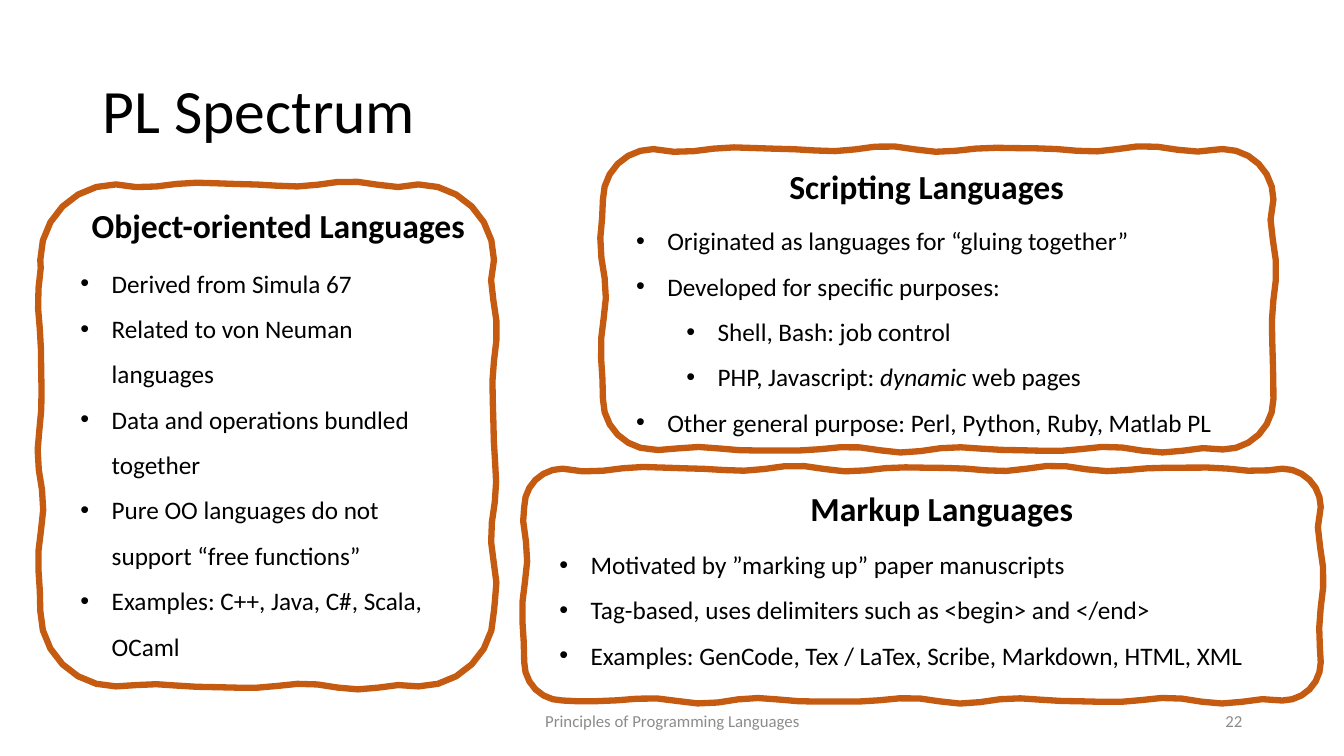
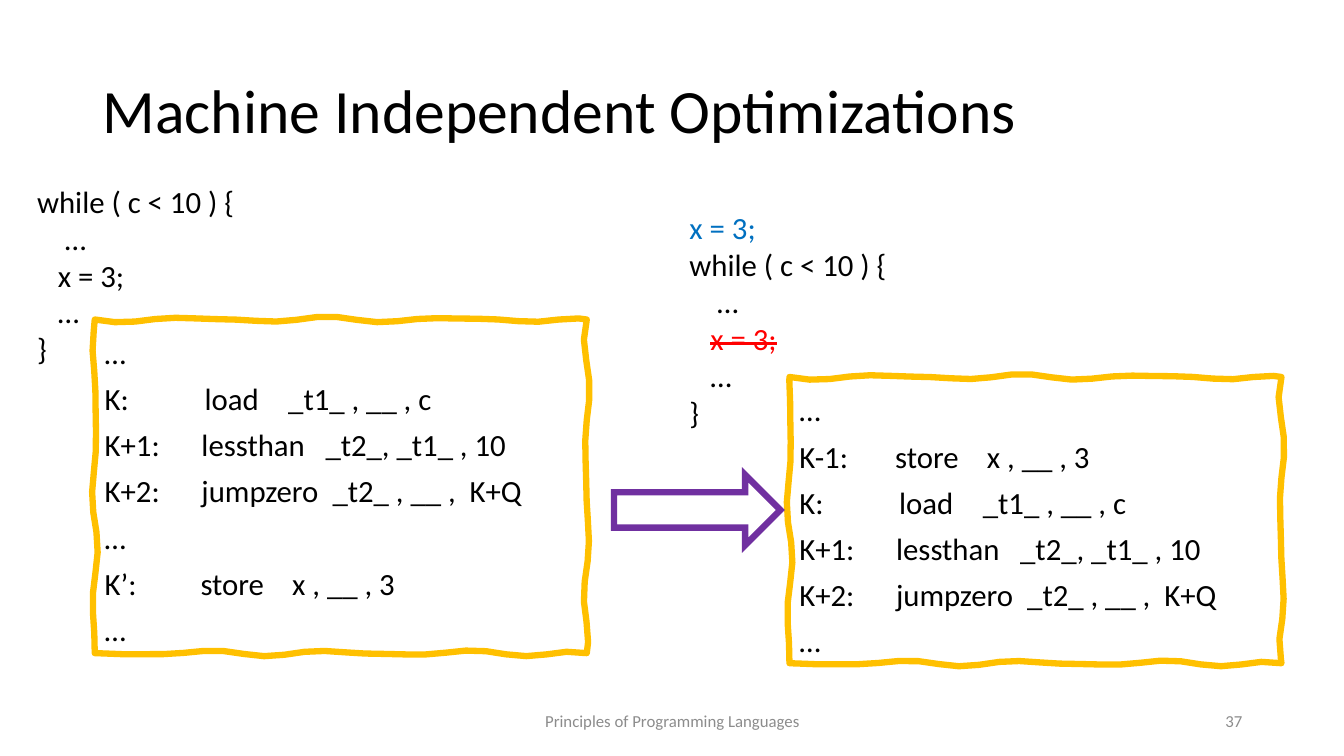
from dataclasses import dataclass
from math import cos, pi, radians, sin

from lxml.etree import SubElement
from pptx import Presentation
from pptx.dml.color import RGBColor
from pptx.enum.shapes import MSO_SHAPE
from pptx.enum.text import MSO_ANCHOR, PP_ALIGN
from pptx.oxml.ns import qn
from pptx.shapes.autoshape import Shape
from pptx.slide import Slide
from pptx.util import Emu, Pt

PX = 9144  # EMU in one px: 100 px to the inch
FONT = "Calibri"
BLACK = RGBColor(0x00, 0x00, 0x00)
GREY = RGBColor(0x8C, 0x8C, 0x8C)
ORANGE = RGBColor(0xC5, 0x5A, 0x11)
GOLD = RGBColor(0xFF, 0xC0, 0x00)
PURPLE = RGBColor(0x70, 0x30, 0xA0)
BLUE = RGBColor(0x00, 0x70, 0xC0)
RED = RGBColor(0xFF, 0x00, 0x00)
LINE_WIDTH = Pt(4.5)
FOOTER = "Principles of Programming Languages"
BULLET_INDENT = 31
LEVEL_INDENT = 50
WAVE_STEP = 20
CORNER_STEP = 15  # degrees

# Tab stops of operation and operands, by operation
STOPS = {
    "load": (99, 182),
    "lessthan": (96, 219),
    "jumpzero": (96, 226),
    "store": (95, 186),
}


@dataclass(frozen=True)
class Box:
    left: int
    top: int
    width: int
    height: int

    def emu(self) -> list[Emu]:
        return [Emu(n * PX) for n in (self.left, self.top, self.width, self.height)]


@dataclass(frozen=True)
class Span:
    text: str
    color: RGBColor = BLACK
    bold: bool = False
    italic: bool = False
    strike: bool = False


@dataclass(frozen=True)
class Line:
    spans: tuple[Span, ...]
    bullet: bool = False
    level: int = 0
    stops: tuple[int, ...] = ()


@dataclass(frozen=True)
class Card:
    frame: Box
    radius: int
    heading: str
    heading_box: Box
    body_box: Box
    lines: tuple[Line, ...]


@dataclass(frozen=True)
class Listing:
    source_box: Box
    source: tuple[Line, ...]
    frame: Box
    instructions: tuple[Line, ...]


def plain(text: str, color: RGBColor = BLACK) -> Line:
    return Line((Span(text, color),))


def item(*parts: str | Span, level: int = 0) -> Line:
    spans = tuple(p if isinstance(p, Span) else Span(p) for p in parts)
    return Line(spans, bullet=True, level=level)


def instruction(label: str, operation: str, operands: str) -> Line:
    return Line((Span(f"{label}:\t{operation}\t{operands}"),), stops=STOPS[operation])


DOTS = plain("…")
LOOP_HEAD = (plain("while ( c < 10 ) {"), plain("    …"))
LOOP_TAIL = (plain("   …"), plain("}"))
LOOP_TEST = (
    instruction("K", "load", "_t1_ , __ , c"),
    instruction("K+1", "lessthan", "_t2_, _t1_ , 10"),
    instruction("K+2", "jumpzero", "_t2_ , __ ,  K+Q"),
)

CARDS = (
    Card(
        Box(40, 183, 450, 498), 75,
        "Object-oriented Languages", Box(81, 198, 400, 50),
        Box(70, 246, 394, 414),
        (
            item("Derived from Simula 67"),
            item("Related to von Neuman languages"),
            item("Data and operations bundled together"),
            item("Pure OO languages do not support “free functions”"),
            item("Examples: C++, Java, C#, Scala, OCaml"),
        ),
    ),
    Card(
        Box(598, 148, 665, 298), 50,
        "Scripting Languages", Box(773, 160, 310, 50),
        Box(621, 204, 642, 233),
        (
            item("Originated as languages for “gluing together”"),
            item("Developed for specific purposes:"),
            item("Shell, Bash: job control", level=1),
            item("PHP, Javascript: ", Span("dynamic", italic=True), " web pages", level=1),
            item("Other general purpose: Perl, Python, Ruby, Matlab PL"),
        ),
    ),
    Card(
        Box(520, 465, 790, 230), 38,
        "Markup Languages", Box(794, 479, 310, 50),
        Box(545, 525, 751, 142),
        (
            item("Motivated by ”marking up” paper manuscripts"),
            item("Tag-based, uses delimiters such as <begin> and </end>"),
            item("Examples: GenCode, Tex / LaTex, Scribe, Markdown, HTML, XML"),
        ),
    ),
)

LISTINGS = (
    Listing(
        Box(27, 176, 230, 195),
        (*LOOP_HEAD, plain("   x = 3;"), *LOOP_TAIL),
        Box(94, 317, 488, 331),
        (DOTS, *LOOP_TEST, DOTS, instruction("K’", "store", "x , __ , 3"), DOTS),
    ),
    Listing(
        Box(674, 202, 230, 232),
        (
            plain("x = 3;", BLUE),
            *LOOP_HEAD,
            Line((Span("   "), Span("x = 3;", RED, strike=True))),
            *LOOP_TAIL,
        ),
        Box(783, 374, 488, 284),
        (DOTS, instruction("K-1", "store", "x , __ , 3"), *LOOP_TEST, DOTS),
    ),
)


def add_text(slide: Slide, box: Box, lines: tuple[Line, ...], size: int,
             spacing: float = 1.0, align: PP_ALIGN = PP_ALIGN.LEFT,
             anchor: MSO_ANCHOR = MSO_ANCHOR.TOP) -> None:
    frame = slide.shapes.add_textbox(*box.emu()).text_frame
    frame.word_wrap = True
    frame.vertical_anchor = anchor
    for index, line in enumerate(lines):
        paragraph = frame.paragraphs[0] if index == 0 else frame.add_paragraph()
        properties = paragraph._p.get_or_add_pPr()
        if line.bullet:
            margin = BULLET_INDENT + line.level * LEVEL_INDENT
            properties.set("marL", str(margin * PX))
            properties.set("indent", str(-BULLET_INDENT * PX))
            SubElement(properties, qn("a:buFont")).set("typeface", "Arial")
            SubElement(properties, qn("a:buChar")).set("char", "•")
        if line.stops:
            tabs = SubElement(properties, qn("a:tabLst"))
            for stop in line.stops:
                SubElement(tabs, qn("a:tab"), pos=str(stop * PX), algn="l")
        paragraph.level = line.level
        paragraph.alignment = align
        paragraph.line_spacing = spacing
        for span in line.spans:
            run = paragraph.add_run()
            run.text = span.text
            run.font.name = FONT
            run.font.size = Pt(size)
            run.font.color.rgb = span.color
            run.font.bold = span.bold
            run.font.italic = span.italic
            if span.strike:
                run._r.get_or_add_rPr().set("strike", "sngStrike")


def outline_only(shape: Shape, color: RGBColor) -> None:
    shape.shadow.inherit = False
    shape.fill.background()
    shape.line.color.rgb = color
    shape.line.width = LINE_WIDTH


def wobbly_outline(box: Box, radius: int) -> list[tuple[float, float]]:
    """Walk clockwise round the box: four wavy sides joined by round corners."""
    points = []
    x, y = box.left + radius, box.top
    for side in range(4):
        heading = radians(90 * side)
        ahead_x, ahead_y = cos(heading), sin(heading)
        inward_x, inward_y = -ahead_y, ahead_x
        length = (box.height if side % 2 else box.width) - 2 * radius
        for step in range(0, length, WAVE_STEP):
            wave = 2 * sin(2 * pi * step / 130 + side) + sin(2 * pi * step / 85)
            wave *= min(1, step / WAVE_STEP, (length - step) / WAVE_STEP)
            points.append((x + ahead_x * step + inward_x * wave,
                           y + ahead_y * step + inward_y * wave))
        x, y = x + ahead_x * length, y + ahead_y * length
        if radius:
            for degrees in range(0, 90, CORNER_STEP):
                turn = radians(degrees)
                along, across = radius * sin(turn), radius * (1 - cos(turn))
                points.append((x + ahead_x * along + inward_x * across,
                               y + ahead_y * along + inward_y * across))
            x += radius * (ahead_x + inward_x)
            y += radius * (ahead_y + inward_y)
    return points


def add_wobbly_frame(slide: Slide, box: Box, color: RGBColor, radius: int = 0) -> None:
    points = [(round(x * PX), round(y * PX)) for x, y in wobbly_outline(box, radius)]
    builder = slide.shapes.build_freeform(*points[0], scale=1.0)
    builder.add_line_segments(points[1:], close=True)
    outline_only(builder.convert_to_shape(), color)


def add_block_arrow(slide: Slide, box: Box) -> None:
    arrow = slide.shapes.add_shape(MSO_SHAPE.RIGHT_ARROW, *box.emu())
    outline_only(arrow, PURPLE)
    SubElement(arrow.line._get_or_add_ln(), qn("a:miter"), lim="800000")


def add_base_slide(presentation: Presentation, title: str, number: int) -> Slide:
    slide = presentation.slides.add_slide(presentation.slide_layouts[6])
    middle = MSO_ANCHOR.MIDDLE
    add_text(slide, Box(92, 40, 1150, 145), (plain(title),), 44, 0.9, anchor=middle)
    add_text(slide, Box(442, 695, 450, 40), (plain(FOOTER, GREY),), 12,
             align=PP_ALIGN.CENTER, anchor=middle)
    add_text(slide, Box(942, 695, 300, 40), (plain(str(number), GREY),), 12,
             align=PP_ALIGN.RIGHT, anchor=middle)
    return slide


def main() -> None:
    presentation = Presentation()
    presentation.slide_width = Emu(1333 * PX)
    presentation.slide_height = Emu(750 * PX)

    # Language families
    slide = add_base_slide(presentation, "PL Spectrum", 22)
    for card in CARDS:
        add_wobbly_frame(slide, card.frame, ORANGE, card.radius)
        heading = Line((Span(card.heading, bold=True),))
        add_text(slide, card.heading_box, (heading,), 24)
        add_text(slide, card.body_box, card.lines, 18, 1.5)

    # Loop before and after moving the assignment
    slide = add_base_slide(presentation, "Machine Independent Optimizations", 37)
    for listing in LISTINGS:
        add_text(slide, listing.source_box, listing.source, 22)
        add_wobbly_frame(slide, listing.frame, GOLD)
        add_text(slide, listing.frame, listing.instructions, 22, 1.25)
    add_block_arrow(slide, Box(609, 471, 165, 70))

    presentation.save("out.pptx")


if __name__ == "__main__":
    main()
